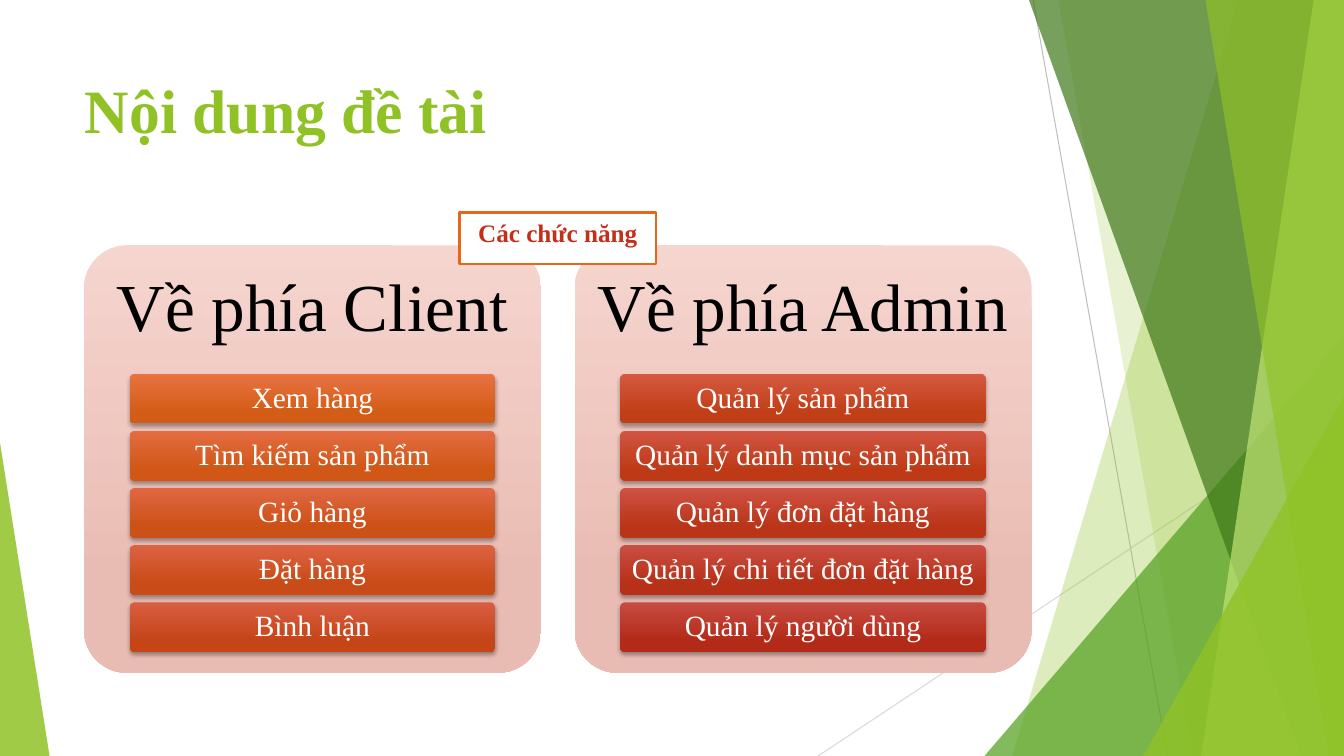
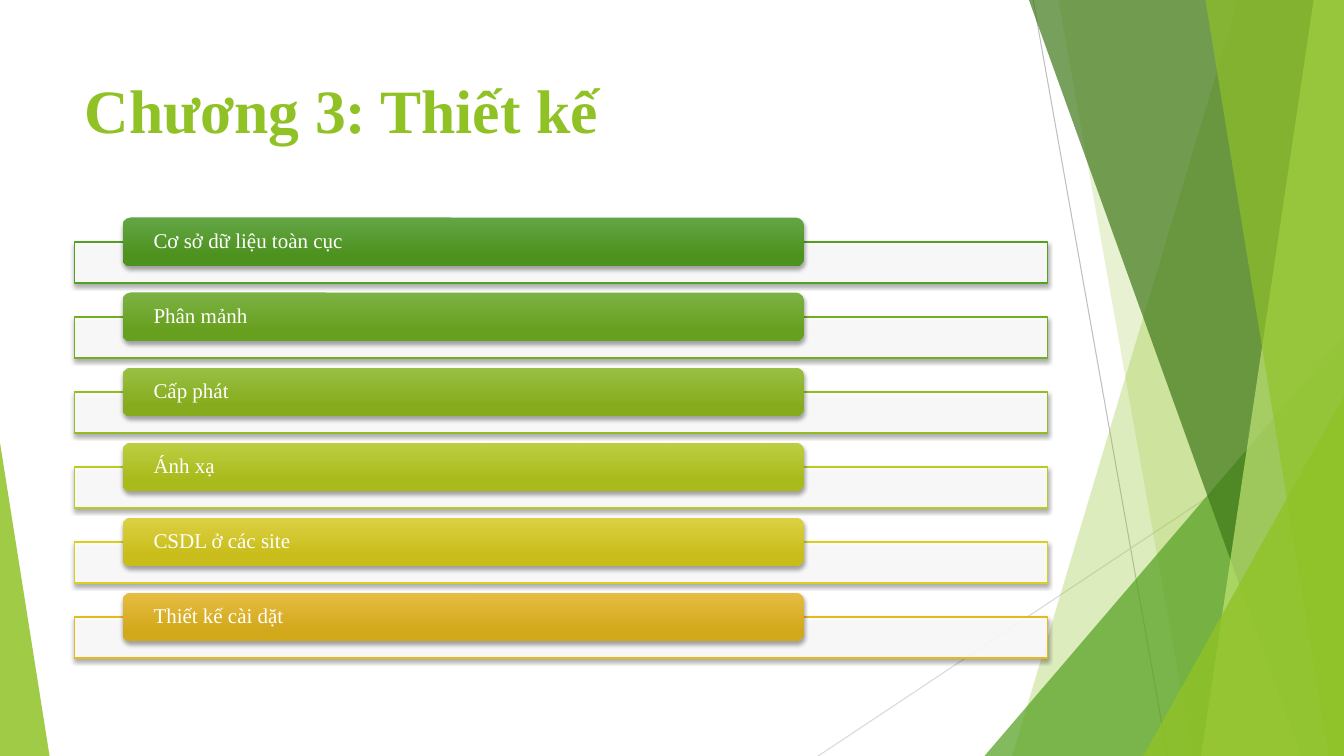
from dataclasses import dataclass

from lxml.etree import SubElement
from pptx import Presentation
from pptx.dml.color import RGBColor
from pptx.enum.shapes import MSO_CONNECTOR, MSO_SHAPE
from pptx.enum.text import MSO_ANCHOR, PP_ALIGN
from pptx.oxml.ns import qn
from pptx.util import Inches, Pt

# The slide is a grid of 160 columns by 90 rows
COLUMNS, ROWS = 160, 90
CELL = Inches(1) / 12


@dataclass(frozen=True)
class Theme:
    font: str = "Times New Roman"
    title_size: int = 44
    heading_size: int = 48
    callout_size: int = 18
    bar_size: int = 21
    tab_size: int = 15
    white: str = "FFFFFF"
    black: str = "000000"
    lime: str = "90C226"
    green: str = "54A021"
    dark_green: str = "3F7819"
    pale_lime: str = "C0E474"
    gray: str = "BFBFBF"
    light_gray: str = "D9D9D9"
    orange: str = "E76618"
    red: str = "C42F1A"
    panel: tuple = ("F6D5CF", "E9BCB3")


THEME = Theme()


def cells(count):
    """Length of a number of grid cells."""
    return round(count * CELL)


def rgb(color):
    return RGBColor.from_string(color)


def write(frame, text, *, size, color, bold=False, align=PP_ALIGN.LEFT,
          anchor=MSO_ANCHOR.MIDDLE, pad=(1.2, 0.6), spacing=0.9):
    """Put one formatted paragraph in a text frame."""
    frame.word_wrap = True
    frame.vertical_anchor = anchor
    frame.margin_left = frame.margin_right = cells(pad[0])
    frame.margin_top = frame.margin_bottom = cells(pad[1])
    frame.text = text
    paragraph = frame.paragraphs[0]
    paragraph.alignment = align
    paragraph.line_spacing = spacing
    font = paragraph.runs[0].font
    font.name, font.size, font.bold = THEME.font, Pt(size), bold
    font.color.rgb = rgb(color)


class Deck:
    def __init__(self, theme):
        self.theme = theme
        self.presentation = Presentation()
        self.presentation.slide_width = cells(COLUMNS)
        self.presentation.slide_height = cells(ROWS)
        self.layout = self.presentation.slide_layouts[5]
        self.slide = None
        self.prepare_layout()

    # Layout: only the title placeholder stays, in its place
    def prepare_layout(self):
        tree = self.layout.shapes.element
        for placeholder in list(self.layout.placeholders):
            if placeholder.placeholder_format.idx:
                tree.remove(placeholder.element)
            else:
                placeholder.left, placeholder.top = cells(8.9), cells(8)
                placeholder.width, placeholder.height = cells(112.8), cells(17.3)

    def add_slide(self, title):
        self.slide = self.presentation.slides.add_slide(self.layout)
        write(self.slide.shapes.title.text_frame, title, bold=True,
              size=self.theme.title_size, color=self.theme.lime,
              anchor=MSO_ANCHOR.TOP, spacing=1)

    def move_to_layout(self, shapes):
        """Make shapes of the current slide part of the layout, at the back."""
        for position, shape in enumerate(shapes, start=2):
            self.layout.shapes.element.insert(position, shape.element)

    # Elements
    def paint(self, shape, fill, alpha=100, line=None, line_width=1, shadow=False):
        """Fill is one colour, or a pair for a vertical gradient."""
        shape.shadow.inherit = False
        if isinstance(fill, tuple):
            shape.fill.gradient()
            shape.fill.gradient_angle = 270
            for stop, color, place in zip(shape.fill.gradient_stops, fill, (0, 0.78)):
                stop.color.rgb = rgb(color)
                stop.position = place
        else:
            shape.fill.solid()
            shape.fill.fore_color.rgb = rgb(fill)
        properties = shape.element.spPr
        if alpha < 100:
            color = properties.find(f"{qn('a:solidFill')}/{qn('a:srgbClr')}")
            SubElement(color, qn("a:alpha"), val=str(alpha * 1000))
        if line:
            shape.line.color.rgb = rgb(line)
            shape.line.width = Pt(line_width)
        else:
            shape.line.fill.background()
        if shadow:
            outer = SubElement(properties.find(qn("a:effectLst")), qn("a:outerShdw"),
                               blurRad=str(Pt(3)), dist=str(Pt(2)),
                               dir="5400000", rotWithShape="0")
            color = SubElement(outer, qn("a:srgbClr"), val=self.theme.black)
            SubElement(color, qn("a:alpha"), val="35000")
        return shape

    def block(self, kind, left, top, width, height, fill, corner=None, **look):
        shape = self.slide.shapes.add_shape(
            kind, cells(left), cells(top), cells(width), cells(height))
        if corner is not None:
            shape.adjustments[0] = corner
        return self.paint(shape, fill, **look)

    def label(self, left, top, width, height, text, **style):
        box = self.slide.shapes.add_textbox(
            cells(left), cells(top), cells(width), cells(height))
        write(box.text_frame, text, **style)

    def line(self, start, end, color):
        connector = self.slide.shapes.add_connector(
            MSO_CONNECTOR.STRAIGHT, *map(cells, start + end))
        connector.line.color.rgb = rgb(color)
        connector.line.width = Pt(0.75)
        SubElement(connector.element.spPr, qn("a:effectLst"))
        return connector

    def facet(self, top_left, bottom_left, color, alpha):
        """Full-height band from a slanted left side to the right edge."""
        builder = self.slide.shapes.build_freeform(cells(top_left), 0)
        corners = [(COLUMNS, 0), (COLUMNS, ROWS), (bottom_left, ROWS)]
        builder.add_line_segments([(cells(x), cells(y)) for x, y in corners])
        return self.paint(builder.convert_to_shape(), color, alpha)

    def wedge(self, left, top, width, color, alpha, tip):
        """Triangle standing on the bottom edge."""
        return self.block(MSO_SHAPE.ISOSCELES_TRIANGLE, left, top, width,
                          ROWS - top, color, corner=tip, alpha=alpha)

    def backdrop(self):
        theme = self.theme
        self.move_to_layout([
            self.line((123, 0), (139, ROWS), theme.gray),
            self.line((COLUMNS, 48.4), (97.4, ROWS), theme.light_gray),
            self.facet(147.4, 120.5, theme.lime, 30),
            self.facet(126, 142, theme.lime, 20),
            self.wedge(117.2, 40, 42.8, theme.green, 72, tip=1),
            self.facet(122.5, 154.9, theme.dark_green, 70),
            self.facet(156.4, 143, theme.pale_lime, 70),
            self.facet(143.5, 158.2, theme.lime, 65),
            self.wedge(136.1, 47.2, 23.9, theme.lime, 80, tip=1),
            self.wedge(0, 52.7, 5.9, theme.lime, 85, tip=0),
        ])

    def panel(self, left, heading, bars):
        """Rounded panel with a heading and a column of bars."""
        top, width, height = 29.2, 54.4, 50.9
        self.block(MSO_SHAPE.ROUNDED_RECTANGLE, left, top, width, height,
                   self.theme.panel, corner=0.1)
        self.label(left, top, width, height * 0.3, heading, pad=(2.4, 2.4),
                   size=self.theme.heading_size, color=self.theme.black,
                   align=PP_ALIGN.CENTER)
        for row, (text, *colors) in enumerate(bars):
            bar = self.block(MSO_SHAPE.ROUNDED_RECTANGLE, left + width * 0.1,
                             44.5 + row * 6.8, width * 0.8, 5.9, tuple(colors),
                             corner=0.1, shadow=True)
            write(bar.text_frame, text, size=self.theme.bar_size, pad=(0.9, 0),
                  color=self.theme.white, align=PP_ALIGN.CENTER)

    def callout(self, left, top, width, height, text):
        box = self.block(MSO_SHAPE.RECTANGLE, left, top, width, height,
                         self.theme.white, line=self.theme.orange, line_width=1.5)
        write(box.text_frame, text, size=self.theme.callout_size, bold=True,
              color=self.theme.red, align=PP_ALIGN.CENTER,
              anchor=MSO_ANCHOR.TOP, spacing=1)

    def chapter_list(self, chapters):
        """Outlined strips, each with a coloured tab over its top edge."""
        for row, (text, outline, *colors) in enumerate(chapters):
            top = 25.9 + row * 8.93
            self.block(MSO_SHAPE.RECTANGLE, 8.9, top + 2.9, 115.8, 4.9,
                       self.theme.white, alpha=90, line=outline, shadow=True)
            tab = self.block(MSO_SHAPE.ROUNDED_RECTANGLE, 14.6, top, 81.1, 5.8,
                             tuple(colors), shadow=True)
            write(tab.text_frame, text, size=self.theme.tab_size,
                  color=self.theme.white, pad=(3.4, 0))


# Bars: text, gradient top, gradient bottom
CLIENT_BARS = [
    ("Xem hàng", "E87242", "D35D16"),
    ("Tìm kiếm sản phẩm", "E46C42", "D05716"),
    ("Giỏ hàng", "E06742", "CC5116"),
    ("Đặt hàng", "DD6242", "C94B17"),
    ("Bình luận", "D95D42", "C54517"),
]
ADMIN_BARS = [
    ("Quản lý sản phẩm", "D55942", "C13F17"),
    ("Quản lý danh mục sản phẩm", "D25542", "BE3A17"),
    ("Quản lý đơn đặt hàng", "CE5142", "BA3518"),
    ("Quản lý chi tiết đơn đặt hàng", "CA4E42", "B73018"),
    ("Quản lý người dùng", "C74B42", "B32B18"),
]
# Chapters: text, outline, gradient top, gradient bottom
CHAPTERS = [
    ("Cơ sở dữ liệu toàn cục", "54A021", "63A545", "4D921E"),
    ("Phân mảnh", "71AE20", "7BB244", "679F1E"),
    ("Cấp phát", "92BC1F", "99C044", "86AC1D"),
    ("Ánh xạ", "B9CB1E", "BDCE43", "A9BA1B"),
    ("CSDL ở các site", "DACF1C", "DCD143", "C8BD1A"),
    ("Thiết kế cài dặt", "E6B91E", "E7BC43", "D2A91B"),
]


def main():
    deck = Deck(THEME)

    # Slide 1: functions for each side
    deck.add_slide("Nội dung đề tài")
    deck.backdrop()
    deck.panel(10, "Về phía Client", CLIENT_BARS)
    deck.panel(68.4, "Về phía Admin", ADMIN_BARS)
    deck.callout(54.7, 25.3, 23.4, 6.1, "Các chức năng")

    # Slide 2: parts of the design chapter
    deck.add_slide("Chương 3: Thiết kế")
    deck.chapter_list(CHAPTERS)

    deck.presentation.save("out.pptx")


if __name__ == "__main__":
    main()
